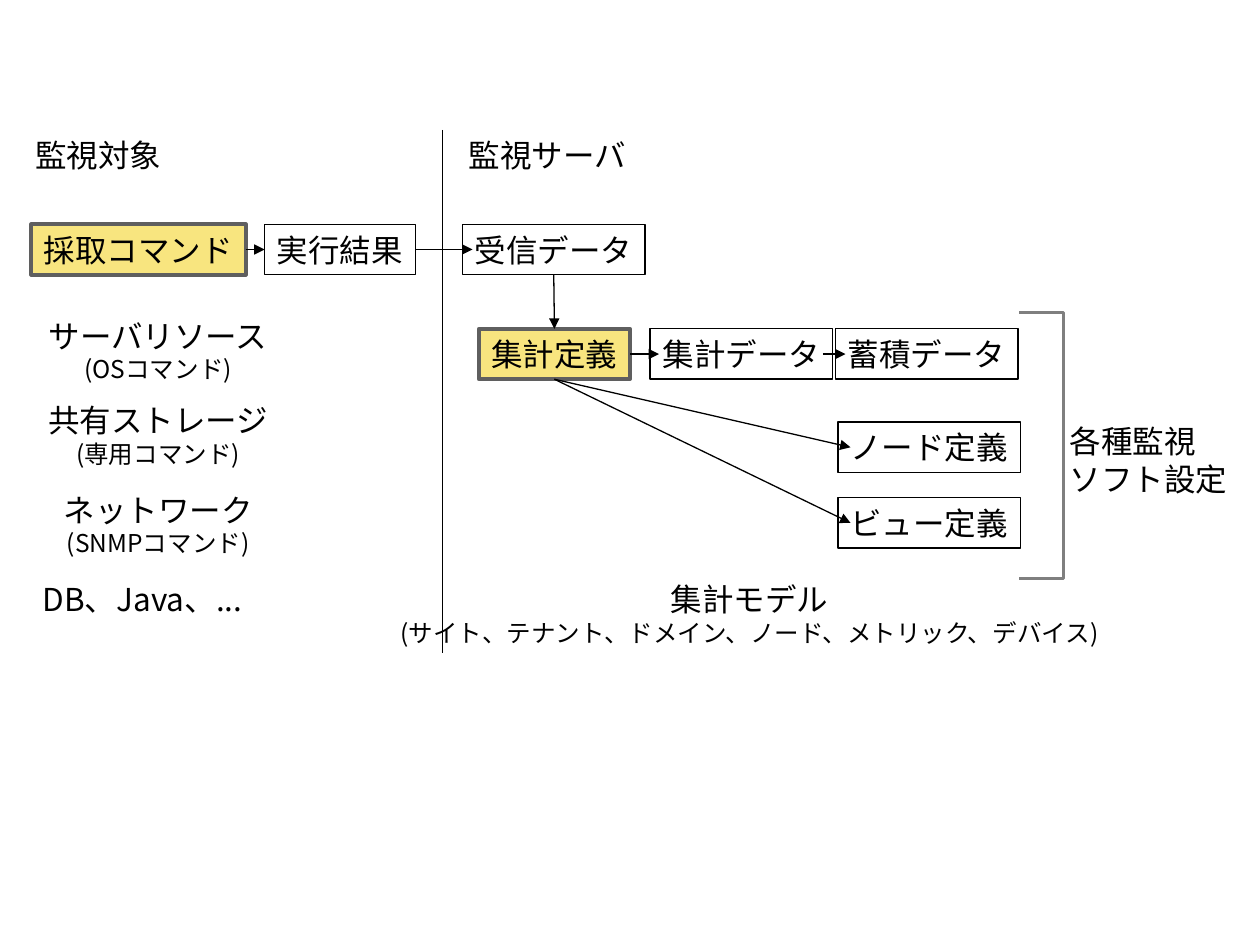
from lxml.etree import SubElement
from pptx import Presentation
from pptx.dml.color import RGBColor
from pptx.enum.shapes import MSO_CONNECTOR, MSO_SHAPE
from pptx.enum.text import MSO_ANCHOR, PP_ALIGN
from pptx.oxml.ns import qn
from pptx.util import Inches, Pt

CJK = "Noto Sans CJK JP"
BOX_H = 0.4
TOP, LEFT, BOTTOM, RIGHT = range(4)


def color(hex_string):
    return RGBColor.from_string(hex_string)


def format_text(shape, text, font, sizes, align):
    """Fill a shape with text; sizes are given run by run."""
    tf = shape.text_frame
    tf.text = text
    tf.word_wrap = False
    tf.vertical_anchor = MSO_ANCHOR.MIDDLE
    for p in tf.paragraphs:
        p.alignment = align
    runs = [r for p in tf.paragraphs for r in p.runs]
    for r, size in zip(runs, sizes):
        r.font.name = font
        r.font.size = Pt(size)
        r.font.color.rgb = color("000000")
        SubElement(r.font._element, qn("a:ea"), typeface=CJK)


def add_label(s, x, y, w, h, text, sizes=(18, 18), align=PP_ALIGN.LEFT):
    tb = s.shapes.add_textbox(Inches(x), Inches(y), Inches(w), Inches(h))
    format_text(tb, text, CJK, sizes, align)


def add_box(s, x, y, w, text, key=False):
    """Add a data box; key boxes are filled and heavily outlined."""
    sp = s.shapes.add_shape(MSO_SHAPE.RECTANGLE, Inches(x), Inches(y),
                            Inches(w), Inches(BOX_H))
    sp.shadow.inherit = False
    if key:
        sp.fill.solid()
        sp.fill.fore_color.rgb = color("F8E57F")
    else:
        sp.fill.background()
    sp.line.color.rgb = color("5F5F5F" if key else "000000")
    sp.line.width = Pt(2.25 if key else 0.75)
    format_text(sp, text, "Arial", (18,), PP_ALIGN.LEFT)
    return sp


def add_line(s, x1, y1, x2, y2, arrow=True):
    c = s.shapes.add_connector(MSO_CONNECTOR.STRAIGHT, Inches(x1), Inches(y1),
                               Inches(x2), Inches(y2))
    c.line.color.rgb = color("000000")
    c.line.width = Pt(0.75)
    if arrow:
        SubElement(c.line._get_or_add_ln(), qn("a:tailEnd"), type="triangle")
    SubElement(c._element.spPr, qn("a:effectLst"))
    return c


def add_target(s, x, y):
    """Monitored side: commands, their result and the kinds of target."""
    add_label(s, x, y, 1.2, BOX_H, "監視対象")
    command = add_box(s, x + 0.07, y + 0.75, 1.7, "採取コマンド", key=True)
    result = add_box(s, x + 1.92, y + 0.75, 1.2, "実行結果")
    arrow = add_line(s, x + 1.77, y + 0.95, x + 1.92, y + 0.95)
    arrow.begin_connect(command, RIGHT)
    arrow.end_connect(result, LEFT)
    kinds = [(1.43, "サーバリソース", "(OSコマンド)"),
             (2.1, "共有ストレージ", "(専用コマンド)"),
             (2.81, "ネットワーク", "(SNMPコマンド)")]
    for dy, kind, command_type in kinds:
        add_label(s, x + 0.1, y + dy, 1.95, 0.64, f"{kind}\v{command_type}",
                  (18, 14), PP_ALIGN.CENTER)
    add_label(s, x + 0.06, y + 3.52, 2.03, BOX_H, "DB、Java、...")
    return result


def add_server(s, x, y, result):
    """Monitoring server: received data, aggregation and definitions."""
    add_label(s, x, y, 1.45, BOX_H, "監視サーバ")
    received = add_box(s, x + 0.05, y + 0.75, 1.45, "受信データ")
    rule = add_box(s, x + 0.18, y + 1.58, 1.2, "集計定義", key=True)
    add_box(s, x + 1.54, y + 1.58, 1.45, "集計データ")
    add_box(s, x + 3.01, y + 1.58, 1.45, "蓄積データ")
    for dy, text in ((2.32, "ノード定義"), (2.92, "ビュー定義")):
        add_box(s, x + 3.03, y + dy, 1.45, text)
        add_line(s, x + 0.78, y + 1.98, x + 3.13,
                 y + dy + BOX_H / 2).begin_connect(rule, BOTTOM)

    add_line(s, x - 0.32, y + 0.95, x + 0.13, y + 0.95).begin_connect(result, RIGHT)
    down = add_line(s, x + 0.78, y + 1.15, x + 0.78, y + 1.58)
    down.begin_connect(received, BOTTOM)
    down.end_connect(rule, TOP)
    add_line(s, x + 1.38, y + 1.78, x + 1.61, y + 1.78).begin_connect(rule, RIGHT)
    add_line(s, x + 2.91, y + 1.78, x + 3.09, y + 1.78)

    bracket = s.shapes.add_shape(MSO_SHAPE.RIGHT_BRACKET, Inches(x + 4.47),
                                 Inches(y + 1.45), Inches(0.35), Inches(2.11))
    bracket.adjustments[0] = 0
    bracket.shadow.inherit = False
    bracket.fill.background()
    bracket.line.color.rgb = color("7F7F7F")
    bracket.line.width = Pt(1.5)
    add_label(s, x + 4.77, y + 2.27, 1.45, 0.7, "各種監視\nソフト設定")
    add_label(s, x - 0.61, y + 3.52, 5.88, 0.64,
              "集計モデル\n(サイト、テナント、ドメイン、ノード、メトリック、デバイス)",
              (18, 14), PP_ALIGN.CENTER)


def main():
    prs = Presentation()
    prs.slide_width, prs.slide_height = Inches(10), Inches(7.5)
    s = prs.slides.add_slide(prs.slide_layouts[6])
    add_line(s, 3.51, 1.03, 3.51, 5.18, arrow=False)
    result = add_target(s, 0.18, 1.03)
    add_server(s, 3.62, 1.03, result)
    prs.save("out.pptx")


if __name__ == "__main__":
    main()
